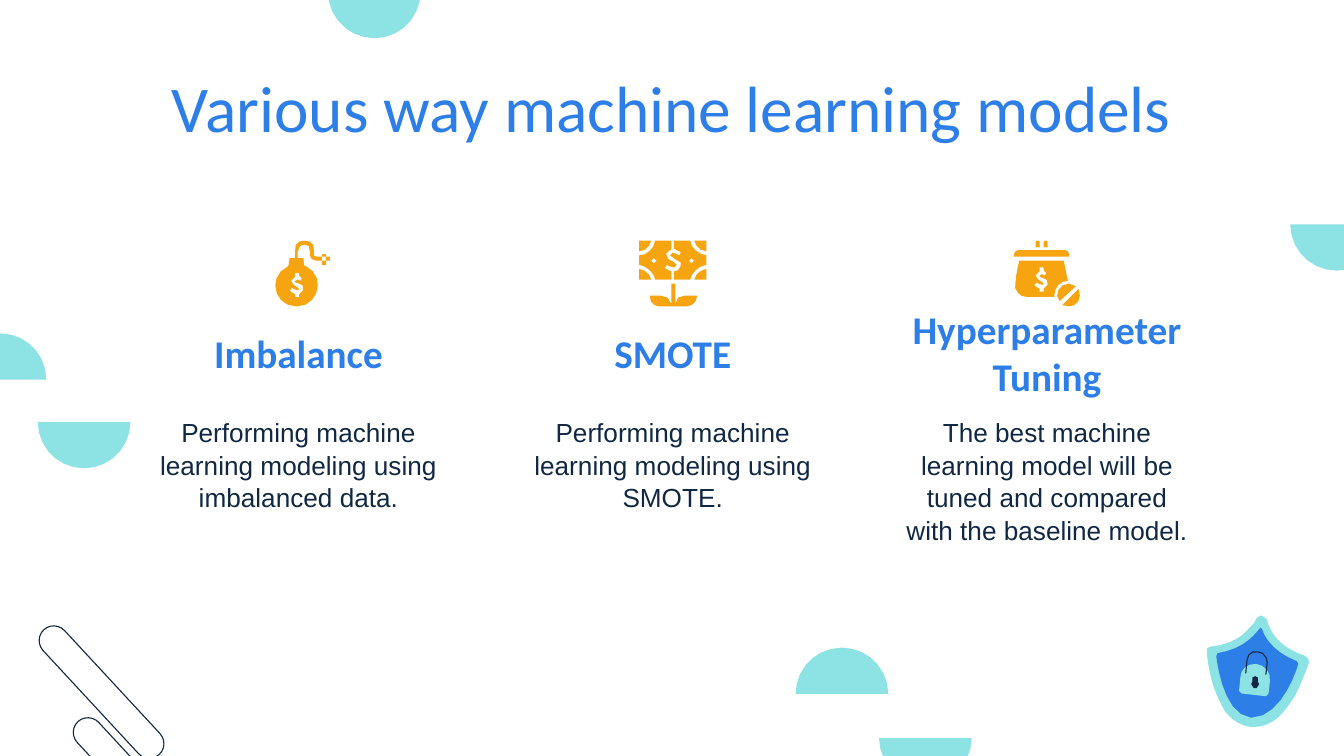
import math
import pptx
import pptx.dml.color
import pptx.enum.shapes
import pptx.enum.text
import pptx.util

Pt = pptx.util.Pt
RGBColor = pptx.dml.color.RGBColor
Anchor = pptx.enum.text.MSO_ANCHOR

BLUE = RGBColor(0x2D, 0x7E, 0xE7)
NAVY = RGBColor(0x10, 0x28, 0x43)
AQUA = RGBColor(0x8D, 0xE3, 0xE4)
ORANGE = RGBColor(0xF6, 0xA4, 0x10)
GRID = Pt(0.72)
OUTLINE = Pt(0.59)

TITLE = "Various way machine learning models"

DOLLAR = ("M 7 0 L 7 2 L 9 4 L 8 6 L 6 5 L 4 6 L 4 7 L 7 8 C 9 8 11 10 10 13 "
          "C 10 14 9 16 7 16 L 7 18 L 4 18 L 4 16 L 1 14 L 0 13 L 2 11 L 3 12 L 6 13 "
          "L 7 12 L 6 11 L 3 9 L 1 6 C 1 4 2 3 4 3 L 4 0 Z")
PURSE_PRONG = "M 1 0 L 0 1 L 0 5 L 3 5 L 3 1 L 2 0 Z"

BOMB = [
    [("M 41 10 L 41 12 L 44 12 L 44 10 Z "
      "M 44 12 L 44 15 L 41 15 L 41 18 L 44 18 L 44 15 L 47 15 L 47 12 Z", 0, 0)],
    [("M 28 0 C 24 0 20 2 21 8 L 21 13 L 17 13 L 16 19 C 0 26 5 49 22 49 C 39 49 44 26 29 19 "
      "L 28 19 L 27 13 L 23 13 L 23 8 C 23 4 26 3 28 3 C 30 3 33 4 32 8 L 32 11 "
      "C 32 13 34 15 37 15 L 41 15 L 41 12 L 37 12 L 35 11 L 35 8 "
      "C 36 2 32 0 28 0 Z", 0, 0), (DOLLAR, 17, 24)],
]
MONEY_PLANT = [
    [("M 0 0 L 0 8 C 5 8 8 4 9 0 Z", 0, 0)],
    [("M 41 0 C 42 4 45 8 50 8 L 50 0 Z", 0, 0)],
    [("M 0 21 L 0 29 L 9 29 C 8 25 5 22 0 21 Z", 0, 0)],
    [("M 50 21 C 45 22 42 25 41 29 L 50 29 Z", 0, 0)],
    [("M 11 13 L 13 15 L 11 17 L 9 15 Z M 12 0 C 11 6 6 11 0 11 L 0 18 C 6 19 11 24 12 29 "
      "L 24 29 L 24 23 L 20 21 L 19 20 L 21 18 L 22 19 L 26 20 L 28 18 L 26 16 L 22 14 "
      "L 20 10 C 20 8 22 7 23 7 L 24 7 L 24 0 Z", 0, 0)],
    [("M 39 13 L 41 15 L 39 17 L 37 15 Z M 26 0 L 26 6 L 30 8 L 31 9 L 30 11 "
      "L 28 10 L 25 9 L 23 11 L 27 14 C 31 15 32 17 31 19 L 29 22 L 26 23 L 26 29 "
      "L 38 29 C 39 24 44 19 50 18 L 50 11 C 44 10 39 6 38 0 Z", 0, 0)],
    [("M 24 32 L 24 47 C 23 43 20 41 16 41 L 8 41 L 8 42 C 8 46 11 49 15 49 L 35 49 "
      "C 39 49 43 46 43 42 L 43 41 L 34 41 C 30 41 27 43 27 47 L 27 32 Z", 0, 0)],
]
PURSE = [
    [("M 3 7 L 1 8 L 0 10 L 0 12 L 41 12 L 41 10 L 40 8 L 38 7 Z", 0, 0)],
    [("M 48 36 L 36 48 L 41 49 C 45 49 49 46 49 41 Z", 0, 0)],
    [("M 4 15 C 3 18 1 28 1 32 C 0 34 1 37 3 39 C 4 41 7 42 10 42 L 30 42 L 30 41 "
      "C 30 35 34 30 40 30 L 37 15 Z", 0, 0), (DOLLAR, 15, 20)],
    [("M 41 32 C 36 32 32 36 32 41 L 34 45 L 46 34 Z", 0, 0)],
    [(PURSE_PRONG, 16, 0)],
    [(PURSE_PRONG, 22, 0)],
]

SHIELD = [
    (AQUA, "M 41 0 L 38 2 C 38 3 36 7 31 11 C 25 18 15 22 4 23 C 2 23 0 25 1 27 "
           "C 1 28 2 40 6 53 C 9 61 12 67 15 72 C 21 79 27 82 34 83 C 42 83 48 81 54 76 "
           "C 58 72 63 66 67 59 C 73 47 77 35 77 35 C 78 33 76 31 74 30 C 63 26 55 21 50 13 "
           "C 46 8 46 3 46 3 C 45 1 44 0 42 0 Z"),
    (BLUE, "M 41 9 L 40 10 C 36 15 28 25 9 28 L 8 30 C 9 38 14 74 34 76 "
           "C 55 76 67 44 69 36 L 68 34 C 50 27 44 16 42 10 Z"),
    (AQUA, "M 37 36 C 31 36 26 40 26 46 L 25 56 L 27 58 L 45 60 L 47 58 "
           "L 48 49 C 49 42 44 37 38 36 Z"),
    (None, "M 45 44 L 46 35 C 46 31 43 27 39 27 C 35 26 31 29 31 33 L 30 43"),
    (NAVY, "M 37 45 L 35 46 L 35 49 L 34 51 L 36 54 L 38 54 L 40 51 L 39 49 L 39 46 Z"),
]
SHIELD_CORNER = (645.8, 329.8)

BOWL = "M 0 0 C 0 19 15.5 34.5 34.5 34.5 C 53.5 34.5 69 19 69 0 Z"
DOME = "M 34.5 0 C 15.5 0 0 15.5 0 34.5 L 69 34.5 C 69 15.5 53.5 0 34.5 0 Z"
HALF_DISCS = [(BOWL, 691.2, 120.2), (DOME, -24.8, 178.6), (BOWL, 20.2, 226.1),
              (DOME, 426.2, 347), (BOWL, 470.9, 395.3), (BOWL, 175.7, -4.3)]

PILL_CENTRES = [(72.7, 420), (54.4, 370.8)]
PILL_WIDTH, PILL_HEIGHT, PILL_ANGLE = 91, 15.7, 47.2

METHODS = [
    (["Imbalance"], 167, "Performing machine learning modeling using imbalanced data.", BOMB, 47),
    (["SMOTE"], 167, "Performing machine learning modeling using SMOTE.", MONEY_PLANT, 50),
    (["Hyperparameter", "Tuning"], 179.3,
     "The best machine learning model will be tuned and compared with the baseline model.",
     PURSE, 49),
]
COLUMN_LEFT, COLUMN_STEP, COLUMN_WIDTH = 74.2, 200.5, 171.4
ICON_TOP, BODY_TOP = 128.9, 215.3

TITLE_FONT = {"name": "Calibri", "size": Pt(35), "bold": False}
LABEL_FONT = {"name": "Calibri", "size": Pt(21), "bold": True}
BODY_FONT = {"name": "Arial", "size": Pt(14), "bold": False}


def flatten(curve):
    length = sum(math.dist(a, b) for a, b in zip(curve, curve[1:]))
    steps = max(1, min(7, math.ceil(length / 6)))
    return [tuple(sum(math.comb(3, k) * (1 - t) ** (3 - k) * t ** k * curve[k][axis]
                      for k in range(4)) for axis in (0, 1))
            for t in (step / steps for step in range(1, steps + 1))]


def contours(outline, dx, dy):
    for contour in outline.split("M")[1:]:
        points = []
        marked = ("M" + contour).replace("Z", "").replace("C", "|C").replace("L", "|L")
        for segment in marked.split("|"):
            numbers = [float(n) for n in segment[1:].split()]
            ends = list(zip(numbers[::2], numbers[1::2]))
            points += flatten([points[-1]] + ends) if segment[0] == "C" else ends
        yield [(x + dx, y + dy) for x, y in points], "Z" in contour


def paint(shape, fill):
    shape.shadow.inherit = False
    if fill is None:
        shape.fill.background()
        shape.line.color.rgb = NAVY
        shape.line.width = OUTLINE
    else:
        shape.fill.solid()
        shape.fill.fore_color.rgb = fill
        shape.line.fill.background()


def draw(slide, parts, left, top, fill):
    builder = None
    for part in parts:
        for points, closed in contours(*part):
            scaled = [(Pt(left) + x * GRID, Pt(top) + y * GRID) for x, y in points]
            if builder is None:
                builder = slide.shapes.build_freeform(*scaled[0], scale=1.0)
            else:
                builder.move_to(*scaled[0])
            builder.add_line_segments(scaled[1:], close=closed)
    paint(builder.convert_to_shape(), fill)


def write(shape, lines, font, color, anchor, spacing=1.0):
    frame = shape.text_frame
    frame.text = "\n".join(lines)
    settings = {"word_wrap": True, "auto_size": pptx.enum.text.MSO_AUTO_SIZE.NONE,
                "vertical_anchor": anchor, "margin_left": Pt(7.2), "margin_right": Pt(7.2),
                "margin_top": Pt(7.2), "margin_bottom": Pt(7.2)}
    for key, value in settings.items():
        setattr(frame, key, value)
    for paragraph in frame.paragraphs:
        paragraph.alignment = pptx.enum.text.PP_ALIGN.CENTER
        paragraph.line_spacing = spacing
        for key, value in font.items():
            setattr(paragraph.runs[0].font, key, value)
        paragraph.runs[0].font.color.rgb = color


def main():
    deck = pptx.Presentation()
    deck.slide_width, deck.slide_height = Pt(720), Pt(405)
    slide = deck.slides.add_slide(deck.slide_layouts[5])

    for outline, left, top in HALF_DISCS:
        draw(slide, [(outline, 0, 0)], left, top, AQUA)
    for x, y in PILL_CENTRES:
        pill = slide.shapes.add_shape(
            pptx.enum.shapes.MSO_SHAPE.ROUNDED_RECTANGLE, Pt(x - PILL_WIDTH / 2),
            Pt(y - PILL_HEIGHT / 2), Pt(PILL_WIDTH), Pt(PILL_HEIGHT))
        pill.adjustments[0] = 0.5
        pill.rotation = PILL_ANGLE
        paint(pill, None)
    for fill, outline in SHIELD:
        draw(slide, [(outline, 0, 0)], *SHIELD_CORNER, fill)

    title = slide.shapes.title
    title.left, title.top, title.width, title.height = Pt(31.7), Pt(28.8), Pt(656.6), Pt(45.4)
    write(title, [TITLE], TITLE_FONT, BLUE, Anchor.TOP)

    for column, (label, label_top, body, icon, icon_width) in enumerate(METHODS):
        left = COLUMN_LEFT + column * COLUMN_STEP
        body_box = slide.shapes.add_textbox(Pt(left), Pt(BODY_TOP), Pt(COLUMN_WIDTH), Pt(68.4))
        write(body_box, [body], BODY_FONT, NAVY, Anchor.TOP, 1.04)
        label_box = slide.shapes.add_textbox(Pt(left), Pt(label_top), Pt(COLUMN_WIDTH), Pt(41.8))
        write(label_box, label, LABEL_FONT, BLUE, Anchor.BOTTOM)
        icon_left = left + (COLUMN_WIDTH - icon_width * GRID.pt) / 2
        for parts in icon:
            draw(slide, parts, icon_left, ICON_TOP, ORANGE)

    deck.save("out.pptx")


if __name__ == "__main__":
    main()
